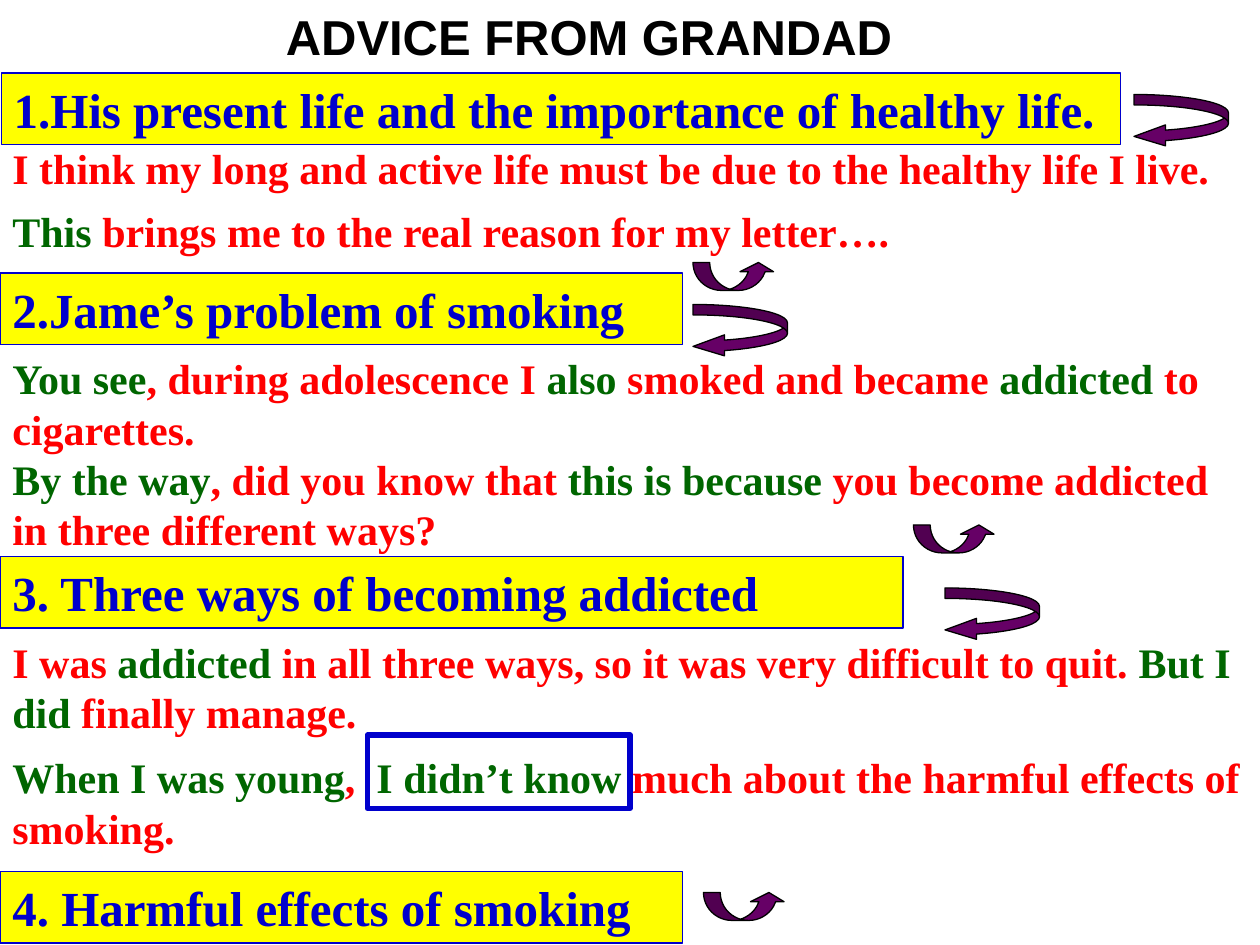
from pptx import Presentation
from pptx.dml.color import RGBColor
from pptx.enum.shapes import MSO_SHAPE as Shape
from pptx.enum.text import MSO_ANCHOR as Anchor, MSO_AUTO_SIZE as AutoSize, PP_ALIGN as Align
from pptx.util import Pt

BLACK, BLUE, YELLOW = "000000", "0000CC", "FFFF00"
RED, GREEN, PURPLE = "FF0000", "006600", "660066"
SERIF = "Times New Roman"

TITLE_BOX = (156.25, 0, 361, 41)
HEADINGS = [
    ((0.75, 41.75, 639.5, 41), "1.His present life and the importance of healthy life."),
    ((0, 156, 390, 41), "2.Jame’s problem of smoking"),
    ((0, 318, 516, 41), "3. Three ways of becoming addicted"),
    ((0, 498, 390, 41), "4. Harmful effects of smoking"),
]
# Each passage is a box and its paragraphs, each a list of (text, colour).
PASSAGES = [
    ((0, 78, 698.5, 36), [
        [("I think my long and active life must be due to the healthy life I live.", RED)],
    ]),
    ((0, 114, 517, 36), [
        [("This ", GREEN), ("brings me to the real reason for my letter….", RED)],
    ]),
    ((0, 198, 720, 122.5), [
        [("You see", GREEN), (", during adolescence I ", RED), ("also", GREEN),
         (" smoked and became", RED), (" addicted", GREEN), (" to cigarettes.", RED)],
        [("By the way", GREEN), (", did you know that ", RED), ("this is because", GREEN),
         (" you become addicted in three different ways?", RED)],
    ]),
    ((0, 360, 720, 65), [
        [("I was", RED), (" addicted", GREEN),
         (" in all three ways, so it was very difficult to quit. ", RED),
         ("But I did", GREEN), (" finally manage.", RED)],
    ]),
    ((0, 426, 720, 65), [
        [("When I was young", GREEN), (",  ", RED), ("I didn’t know", GREEN),
         (" much about the harmful effects of smoking.", RED)],
    ]),
]
PHRASE_BOX = (210, 420, 150, 42)
BACK_ARROWS = [(648, 54), (396, 174), (540, 336)]
UP_ARROWS = [(396, 150), (522, 300), (402, 510)]


def colour(value):
    return RGBColor.from_string(value)


def points(box):
    return [Pt(length) for length in box]


def set_format(target, values):
    for name, value in values.items():
        setattr(target, name, value)


def write(shape, paragraphs, size, font=SERIF, wrap=True):
    frame = shape.text_frame
    set_format(frame, {"word_wrap": wrap, "auto_size": AutoSize.SHAPE_TO_FIT_TEXT,
                       "vertical_anchor": Anchor.TOP})
    for index, spans in enumerate(paragraphs):
        para = frame.add_paragraph() if index else frame.paragraphs[0]
        para.alignment = Align.LEFT
        for text, ink in spans:
            span = para.add_run()
            span.text = text
            set_format(span.font, {"name": font, "size": Pt(size), "bold": True})
            span.font.color.rgb = colour(ink)


def add_outline(page, kind, box, fill=None, line=BLUE, width=0.75):
    shape = page.shapes.add_shape(kind, *points(box))
    shape.shadow.inherit = False
    if fill:
        shape.fill.solid()
        shape.fill.fore_color.rgb = colour(fill)
    else:
        shape.fill.background()
    shape.line.color.rgb = colour(line)
    shape.line.width = Pt(width)
    return shape


def add_title(page, box):
    title = page.shapes.add_textbox(*points(box))
    write(title, [[("ADVICE FROM GRANDAD", BLACK)]], 28, "Arial", wrap=False)


def add_heading(page, box, text):
    heading = add_outline(page, Shape.RECTANGLE, box, YELLOW)
    write(heading, [[(text, BLUE)]], 28)


def add_passage(page, box, paragraphs):
    passage = page.shapes.add_textbox(*points(box))
    one_line = box[3] < 40
    write(passage, paragraphs, 24, wrap=not one_line)


def add_curved_arrow(page, kind, box, adjustments):
    arrow = add_outline(page, kind, box, PURPLE, BLACK)
    for index, value in enumerate(adjustments):
        arrow.adjustments[index] = value


def add_page(deck):
    page = deck.slides.add_slide(deck.slide_layouts[6])
    add_title(page, TITLE_BOX)
    for box, text in HEADINGS:
        add_heading(page, box, text)
    for box, paragraphs in PASSAGES:
        add_passage(page, box, paragraphs)
    add_outline(page, Shape.RECTANGLE, PHRASE_BOX, width=3)
    for left, top in BACK_ARROWS:
        add_curved_arrow(page, Shape.CURVED_LEFT_ARROW, (left, top, 54, 30), (0.2, 0.4, 0.6))
    for left, top in UP_ARROWS:
        add_curved_arrow(page, Shape.CURVED_UP_ARROW, (left, top, 47, 16), (0.6, 1.2, 0.33))


def main():
    deck = Presentation()
    set_format(deck, {"slide_width": Pt(720), "slide_height": Pt(540)})
    add_page(deck)
    deck.save("out.pptx")


if __name__ == "__main__":
    main()
